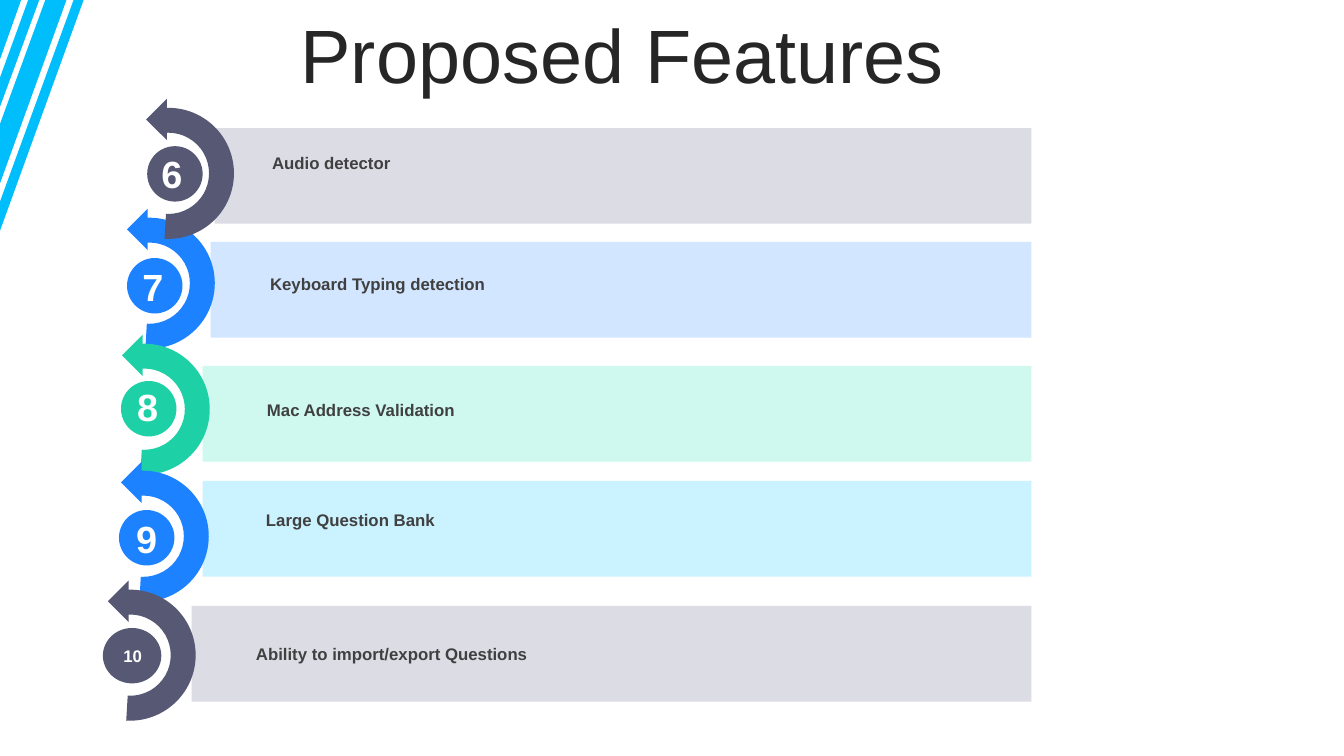
from dataclasses import dataclass

from pptx import Presentation
from pptx.dml.color import RGBColor
from pptx.enum.shapes import MSO_SHAPE as Preset
from pptx.enum.text import MSO_ANCHOR as Anchor, MSO_AUTO_SIZE as AutoSize, PP_ALIGN as Align
from pptx.util import Pt

PX = 9144
SLIDE_SIZE = (1333, 750)
ARC_SIZE, TIP_SIZE, DISC_HEIGHT, BAR_HEIGHT = 130, 29, 55, 95
NUMBER_SIZE, LABEL_SIZE = (45, 56), (533, 30)
BAR_RIGHT = 1023
SLATE, BLUE, GREEN = "565874", "1C82FF", "1ED0A6"
PALE_SLATE, PALE_BLUE, PALE_GREEN, PALE_CYAN = "DCDCE5", "D2E6FF", "CFF8EF", "CBF2FF"
STRIPES = [
    [(73, 0), (83, 0), (0, 229), (0, 200)],
    [(39, 0), (0, 106), (0, 77), (28, 0)],
    [(66, 0), (0, 182), (0, 123), (45, 0)],
    [(0, 0), (21, 0), (0, 59)],
]
TITLE_FONT = {"name": "Arial", "size": Pt(54), "bold": False}
LABEL_FONT = {"name": "Arial", "size": Pt(12), "bold": True}
NUMBER_FONT = {"name": "Arial", "size": Pt(27), "bold": True}


@dataclass
class Feature:
    number: str
    label: str
    color: str
    bar_color: str
    box: tuple
    bar: tuple
    disc: tuple
    number_at: tuple
    label_at: tuple
    disc_width: int = 55
    number_font: dict = None


FEATURES = [
    Feature("7", "Keyboard Typing detection", BLUE, PALE_BLUE,
            (83, 216), (126, 24), (43, 40), (46, 40), (175, 51)),
    Feature("8", "Mac Address Validation", GREEN, PALE_GREEN,
            (78, 341), (123, 22), (42, 37), (46, 34), (177, 51)),
    Feature("6", "Audio detector", SLATE, PALE_SLATE,
            (102, 107), (111, 20), (44, 38), (46, 37), (158, 40)),
    Feature("9", "Large Question Bank", BLUE, PALE_CYAN,
            (77, 467), (124, 10), (41, 39), (46, 39), (177, 34)),
    Feature("10", "Ability to import/export Questions", SLATE, PALE_SLATE,
            (64, 585), (126, 16), (38, 38), (45, 38), (180, 49), 58, LABEL_FONT),
]


def emu(*lengths):
    return [length * PX for length in lengths]


def rgb(color):
    return RGBColor.from_string(color)


def paint(shape, color):
    shape.shadow.inherit = False
    shape.fill.solid()
    shape.fill.fore_color.rgb = rgb(color)
    shape.line.fill.background()


def add_preset(slide, preset, position, size, color, rotation=0):
    shape = slide.shapes.add_shape(preset, *emu(*position, *size))
    paint(shape, color)
    shape.rotation = rotation
    return shape


def write(shape, text, font_values, color, align=Align.LEFT):
    frame = shape.text_frame
    for name, value in {"word_wrap": True, "auto_size": AutoSize.NONE,
                        "vertical_anchor": Anchor.MIDDLE}.items():
        setattr(frame, name, value)
    paragraph = frame.paragraphs[0]
    paragraph.text = text
    paragraph.alignment = align
    for name, value in font_values.items():
        setattr(paragraph.font, name, value)
    paragraph.font.color.rgb = rgb(color)
    return paragraph


def add_text(slide, position, size, *text_format):
    write(slide.shapes.add_textbox(*emu(*position, *size)), *text_format)


def add_stripes(slide, left, top):
    builder = None
    for stripe in STRIPES:
        points = [(left + x, top + y) for x, y in stripe]
        if builder is None:
            builder = slide.shapes.build_freeform(*points[0], scale=PX)
        else:
            builder.move_to(*points[0])
        builder.add_line_segments(points[1:], close=True)
    paint(builder.convert_to_shape(), "00BDFB")


def add_title(slide, left, top, width, height):
    title = slide.shapes.title
    title.left, title.top, title.width, title.height = emu(left, top, width, height)
    paragraph = write(title, "Proposed Features", TITLE_FONT, "262626", Align.CENTER)
    paragraph.line_spacing = 0.9


def add_feature(slide, feature):
    left, top = feature.box

    def place(offset):
        return left + offset[0], top + offset[1]

    bar = place(feature.bar)
    add_preset(slide, Preset.RECTANGLE, bar, (BAR_RIGHT - bar[0], BAR_HEIGHT), feature.bar_color)
    arc = add_preset(slide, Preset.BLOCK_ARC, (left, top), (ARC_SIZE, ARC_SIZE), feature.color, 90)
    for index, value in enumerate((104.73, 2.03, 0.19)):
        arc.adjustments[index] = value
    add_preset(slide, Preset.RIGHT_TRIANGLE, place((49, -3)), (TIP_SIZE, TIP_SIZE), feature.color, 45)
    add_preset(slide, Preset.OVAL, place(feature.disc), (feature.disc_width, DISC_HEIGHT), feature.color)
    add_text(slide, place(feature.number_at), NUMBER_SIZE, feature.number,
             feature.number_font or NUMBER_FONT, "FFFFFF", Align.CENTER)
    add_text(slide, place(feature.label_at), LABEL_SIZE, feature.label, LABEL_FONT, "404040")


def main():
    presentation = Presentation()
    presentation.slide_width, presentation.slide_height = emu(*SLIDE_SIZE)
    slide = presentation.slides.add_slide(presentation.slide_layouts[5])
    add_stripes(slide, 0, 0)
    add_title(slide, -16, 19, 1266, 79)
    for feature in FEATURES:
        add_feature(slide, feature)
    presentation.save("out.pptx")


if __name__ == "__main__":
    main()
